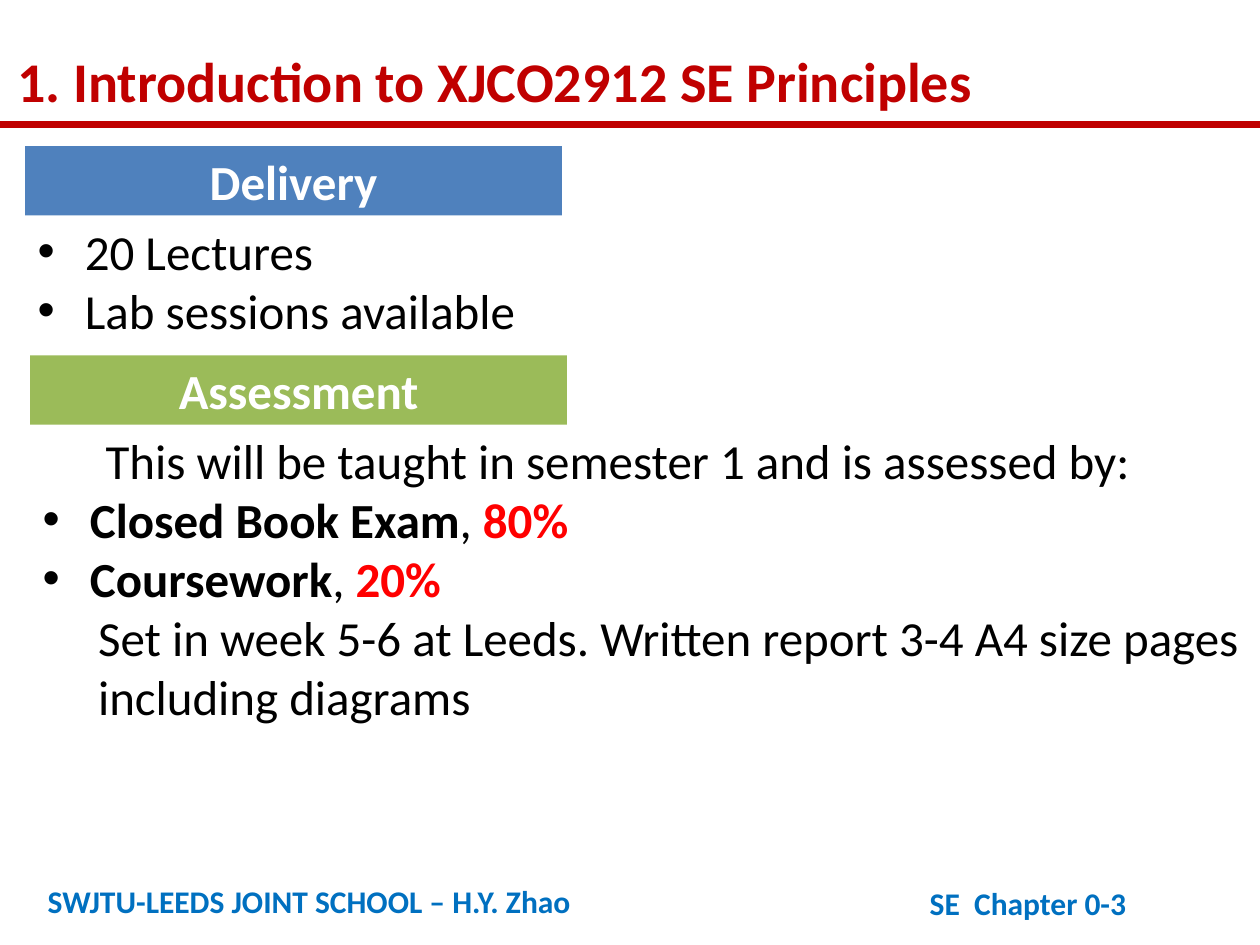
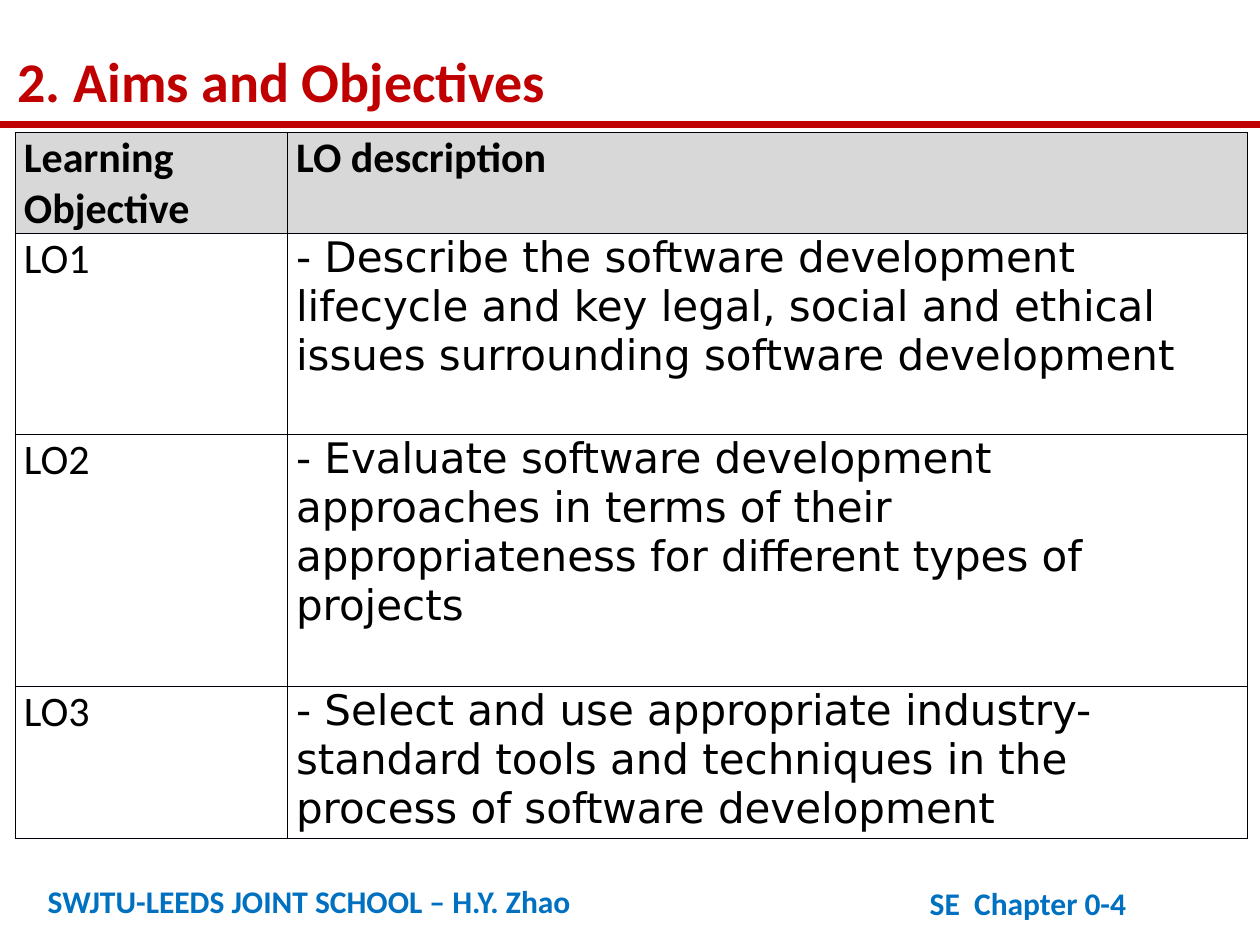
from lxml.etree import SubElement
from pptx import Presentation
from pptx.dml.color import RGBColor
from pptx.enum.shapes import MSO_CONNECTOR, MSO_SHAPE
from pptx.enum.text import MSO_ANCHOR, PP_ALIGN
from pptx.oxml.ns import qn
from pptx.util import Inches, Pt

COLORS = {
    "title": "C00000", "footer": "0070C0", "body": "000000", "share": "FF0000",
    "delivery": "4F81BD", "assessment": "9BBB59", "banner_text": "FFFFFF",
    "header_fill": "D8D8D8", "border": "000008",
}
FONT = "Calibri"
COLUMNS, ROWS = 100, 75

deck = Presentation()
deck.slide_width, deck.slide_height = Inches(10), Inches(7.5)
column, row = deck.slide_width / COLUMNS, deck.slide_height / ROWS


def grid(left, top, width, height):
    """Turn grid columns and rows into slide lengths."""
    return int(left * column), int(top * row), int(width * column), int(height * row)


def write(frame, text, size, color="body", bold=False, font=FONT, first=True):
    """Write one paragraph; text is a string or a list of (text, color, bold)."""
    frame.word_wrap = True
    paragraph = frame.paragraphs[0] if first else frame.add_paragraph()
    pieces = [(text, color, bold)] if isinstance(text, str) else text
    for piece, piece_color, piece_bold in pieces:
        run = paragraph.add_run()
        run.text = piece
        run.font.name, run.font.size, run.font.bold = font, Pt(size), piece_bold
        run.font.color.rgb = RGBColor.from_string(COLORS[piece_color])
    return paragraph


# Shared frame: title, rule and footers
pages = []
for number, title in [(3, "1. Introduction to XJCO2912 SE Principles"),
                      (4, "2. Aims and Objectives")]:
    page = deck.slides.add_slide(deck.slide_layouts[6])
    rule_y = int(9.9 * row)
    rule = page.shapes.add_connector(MSO_CONNECTOR.STRAIGHT, 0, rule_y, deck.slide_width, rule_y)
    rule.line.color.rgb = RGBColor.from_string(COLORS["title"])
    rule.line.width = Pt(4)
    SubElement(rule.line._get_or_add_ln().getparent(), qn("a:effectLst"))

    for place, words, size, color in [
        ((2.8, 69.5, 63.1, 4), "SWJTU-LEEDS JOINT SCHOOL – H.Y. Zhao", 18, "footer"),
        ((72.8, 69.7, 26.1, 4), f"SE  Chapter 0-{number}", 18, "footer"),
        ((0.4, 2.1, 99.6, 7.5), title, 32, "title"),
    ]:
        label = page.shapes.add_textbox(*grid(*place))
        line = write(label.text_frame, words, size, color, bold=True)
        if color == "title":
            line.line_spacing = 1.2
    pages.append(page)
introduction, aims = pages

# Introduction: a banner over each list; entries are (bulleted, indent, text)
sections = [
    ("Delivery", "delivery", 2, 11.6, 10.4, [
        (True, 3.75, "20 Lectures"),
        (True, 3.75, "Lab sessions available"),
    ]),
    ("Assessment", "assessment", 2.4, 28.2, 24.6, [
        (False, 5, "This will be taught in semester 1 and is assessed by:"),
        (True, 3.75, [("Closed Book Exam", "body", True), (", ", "body", False),
                      ("80%", "share", True)]),
        (True, 3.75, [("Coursework", "body", True), (", ", "body", False),
                      ("20%", "share", True)]),
        (False, 4.4, "Set in week 5-6 at Leeds. Written report 3-4 A4 size pages"),
        (False, 4.4, "including diagrams"),
    ]),
]
BANNER_HEIGHT = 5.5
for heading, fill, left, top, height, entries in sections:
    banner = introduction.shapes.add_shape(
        MSO_SHAPE.RECTANGLE, *grid(left, top, 42.6, BANNER_HEIGHT))
    banner.shadow.inherit = False
    banner.fill.solid()
    banner.fill.fore_color.rgb = RGBColor.from_string(COLORS[fill])
    banner.line.fill.background()
    banner.text_frame.vertical_anchor = MSO_ANCHOR.MIDDLE
    write(banner.text_frame, heading, 28, "banner_text", True).alignment = PP_ALIGN.CENTER

    details = introduction.shapes.add_textbox(
        *grid(left, top + BANNER_HEIGHT, 99.3, height))
    for index, (bulleted, indent, text) in enumerate(entries):
        entry = write(details.text_frame, text, 28, first=index == 0)
        layout = entry._p.get_or_add_pPr()
        layout.set("marL", str(int(indent * column)))
        if bulleted:
            layout.set("indent", str(int(-indent * column)))
            SubElement(layout, qn("a:buFont"), typeface="Arial")
            SubElement(layout, qn("a:buChar"), char="•")

# Aims: table of learning objectives
objectives = [
    ("Learning Objective", "LO description"),
    ("LO1", "- Describe the software development lifecycle and key legal, social "
            "and ethical issues surrounding software development"),
    ("LO2", "- Evaluate software development approaches in terms of their "
            "appropriateness for different types of projects"),
    ("LO3", "- Select and use appropriate industry-standard tools and techniques "
            "in the process of software development"),
]
row_heights = [8, 16, 20, 12]
column_widths = [21.6, 76.2]
table = aims.shapes.add_table(
    len(objectives), 2,
    *grid(1.2, 10.5, sum(column_widths), sum(row_heights))).table
table.first_row = table.horz_banding = False
for index, width in enumerate(column_widths):
    table.columns[index].width = int(width * column)
for r, objective in enumerate(objectives):
    table.rows[r].height = int(row_heights[r] * row)
    for c, text in enumerate(objective):
        cell = table.cell(r, c)
        cell.margin_left = cell.margin_right = Inches(0.07)
        cell.margin_top = cell.margin_bottom = 0
        is_header = r == 0
        write(cell.text_frame, text, 24, bold=is_header,
              font="DejaVu Sans" if c == 1 and not is_header else FONT)
        for side in ("a:lnL", "a:lnR", "a:lnT", "a:lnB"):
            border = SubElement(cell._tc.get_or_add_tcPr(), qn(side), w=str(Pt(0.5)))
            SubElement(SubElement(border, qn("a:solidFill")), qn("a:srgbClr"),
                       val=COLORS["border"])
        if is_header:
            cell.fill.solid()
            cell.fill.fore_color.rgb = RGBColor.from_string(COLORS["header_fill"])
        else:
            cell.fill.background()

deck.save("out.pptx")
